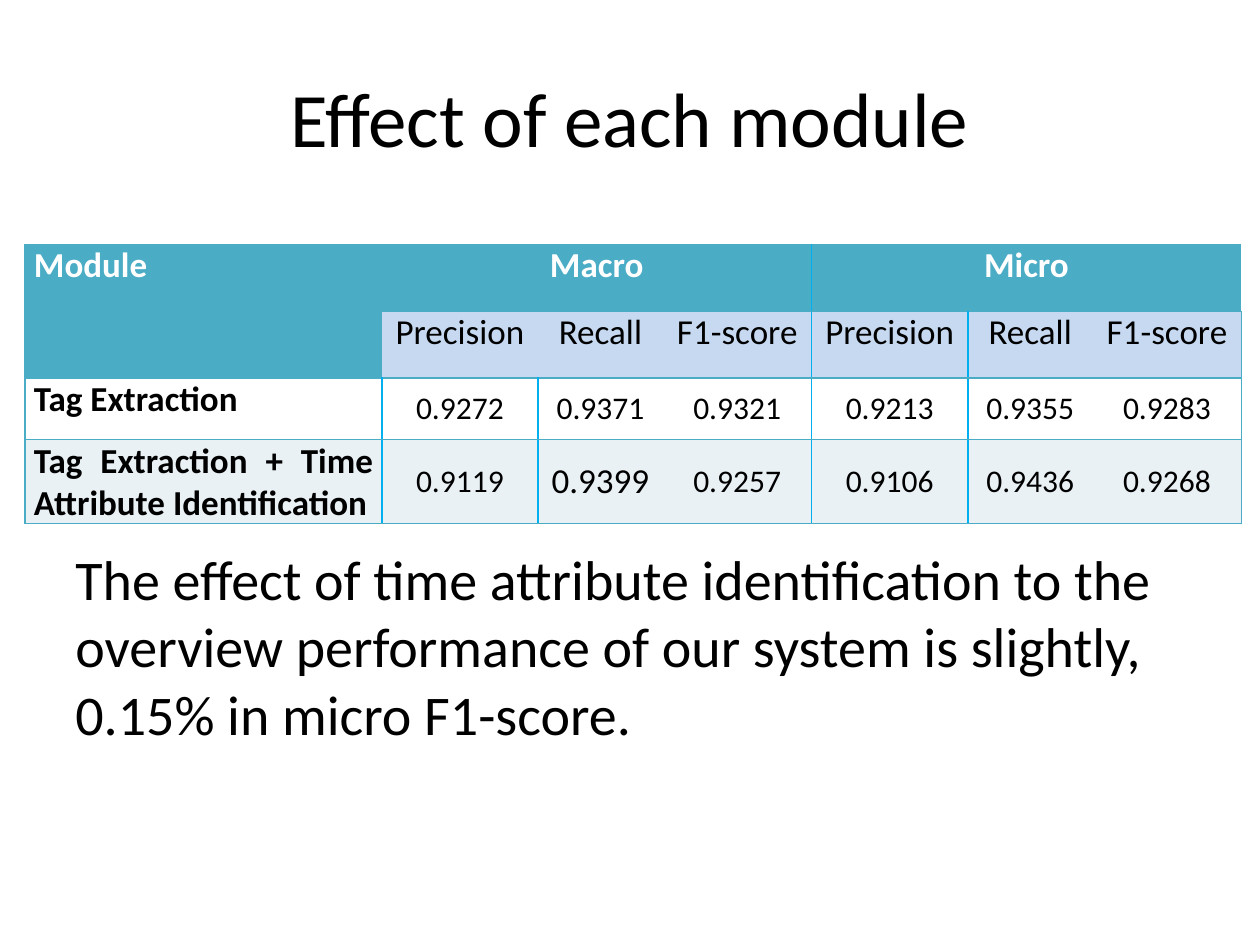
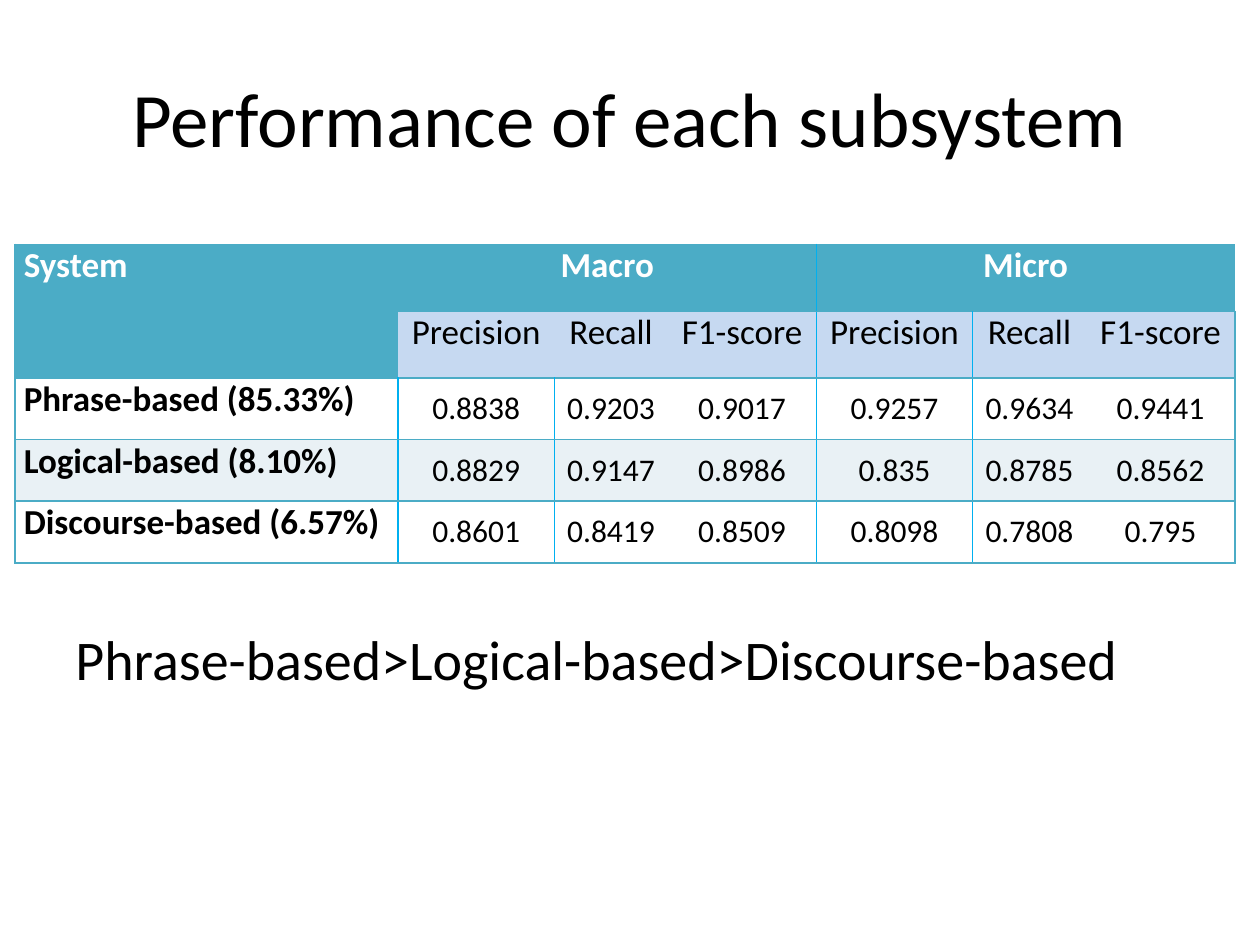
from dataclasses import dataclass

from lxml.etree import SubElement
from pptx import Presentation
from pptx.dml.color import RGBColor
from pptx.enum.text import MSO_ANCHOR, PP_ALIGN
from pptx.oxml.ns import qn
from pptx.util import Pt

FONT = "Calibri"
COLORS = {
    "teal": "4BACC6",
    "sky": "00B0F0",
    "pale": "C6D9F1",
    "band": "E9F1F5",
    "white": "FFFFFF",
    "black": "000000",
}
GROUPS = ("Macro", "Micro")
SCORES = ("Precision", "Recall", "F1-score")
COLS = 1 + len(GROUPS) * len(SCORES)
HEAD_ROWS = 2
HEAD_HIGH, DATA_HIGH = 38.2, 35.2
TABLE_TOP = 139.7
BODY_LINE = 45.4


@dataclass
class Style:
    size: float
    color: str = "black"
    bold: bool = False
    align: PP_ALIGN = PP_ALIGN.LEFT
    after: float = 0


@dataclass
class Box:
    left: float
    top: float
    width: float
    height: float


@dataclass
class Report:
    title: str
    label: str
    left: float
    name_width: float
    recall_width: float
    rows: list[tuple[str, ...]]
    note: str
    skip: int  # body lines left free above the note
    large: str = ""  # score set in larger type


TITLE = Style(44, align=PP_ALIGN.CENTER)
NOTE = Style(32)
LABEL = Style(20, "white", True, PP_ALIGN.JUSTIFY, 6)
GROUP = Style(20, "white", True, PP_ALIGN.CENTER, 6)
SCORE = Style(20, align=PP_ALIGN.CENTER, after=6)
NAME = Style(20, bold=True, align=PP_ALIGN.JUSTIFY, after=6)
VALUE = Style(18, align=PP_ALIGN.CENTER)
LARGE = Style(20, align=PP_ALIGN.CENTER)

TITLE_BOX = Box(36, 21.6, 648, 90)
BODY_BOX = Box(36, 126, 648, 356.4)

REPORTS = [
    Report(
        "Effect of each module", "Module", 14.4, 203.8, 71.3,
        [
            ("Tag Extraction", "0.9272", "0.9371", "0.9321",
             "0.9213", "0.9355", "0.9283"),
            ("Tag Extraction + Time Attribute Identification",
             "0.9119", "0.9399", "0.9257", "0.9106", "0.9436", "0.9268"),
        ],
        "The effect of time attribute identification to the overview "
        "performance of our system is slightly, 0.15% in micro F1-score.",
        4, "0.9399",
    ),
    Report(
        "Performance of each subsystem", "System", 8.6, 218.9, 64.8,
        [
            ("Phrase-based (85.33%)", "0.8838", "0.9203", "0.9017",
             "0.9257", "0.9634", "0.9441"),
            ("Logical-based (8.10%)", "0.8829", "0.9147", "0.8986",
             "0.835", "0.8785", "0.8562"),
            ("Discourse-based (6.57%)", "0.8601", "0.8419", "0.8509",
             "0.8098", "0.7808", "0.795"),
        ],
        "Phrase-based>Logical-based>Discourse-based",
        5,
    ),
]


def write(frame, text: str, style: Style) -> None:
    para = frame.paragraphs[0]
    para.alignment = style.align
    para.space_after = Pt(style.after)
    run = para.add_run()
    run.text = text
    font = run.font
    font.name = FONT
    font.size = Pt(style.size)
    font.bold = style.bold
    font.color.rgb = RGBColor.from_string(COLORS[style.color])


def add_text(slide, box: Box, text: str, style: Style,
             anchor=MSO_ANCHOR.TOP, inset: float = 3.6) -> None:
    shape = slide.shapes.add_textbox(
        Pt(box.left), Pt(box.top), Pt(box.width), Pt(box.height))
    frame = shape.text_frame
    frame.word_wrap = True
    frame.vertical_anchor = anchor
    frame.margin_top = Pt(inset)
    write(frame, text, style)


def edge(row: int, pos: int) -> str | None:
    """Colour of the vertical line at the left of column pos, if any."""
    if pos in (0, COLS):
        return "teal"
    start = {1: HEAD_ROWS, 2: HEAD_ROWS, 4: 0, 5: 1}.get(pos, row + 1)
    return "sky" if row >= start else None


def rule(cell, row: int, col: int) -> None:
    """Set the four borders of a cell."""
    props = cell._tc.get_or_add_tcPr()
    sides = {"L": edge(row, col), "R": edge(row, col + 1),
             "T": "teal", "B": "teal"}
    for side, color in sides.items():
        line = SubElement(props, qn(f"a:ln{side}"), w=str(Pt(1)))
        if color:
            fill = SubElement(line, qn("a:solidFill"))
            SubElement(fill, qn("a:srgbClr"), val=COLORS[color])
        else:
            SubElement(line, qn("a:noFill"))


def shade(row: int, col: int) -> str:
    if row < HEAD_ROWS:
        return "pale" if row and col else "teal"
    return "band" if (row - HEAD_ROWS) % 2 else "white"


def add_scores(slide, report: Report) -> None:
    count = HEAD_ROWS + len(report.rows)
    widths = [report.name_width] + [89.3, report.recall_width, 85] * len(GROUPS)
    highs = [HEAD_HIGH] * HEAD_ROWS + [DATA_HIGH] * len(report.rows)
    table = slide.shapes.add_table(
        count, COLS, Pt(report.left), Pt(TABLE_TOP),
        Pt(sum(widths)), Pt(sum(highs))).table
    table.first_row = table.horz_banding = False
    for col, width in enumerate(widths):
        table.columns[col].width = Pt(width)
    for row, high in enumerate(highs):
        table.rows[row].height = Pt(high)
        for col in range(COLS):
            cell = table.cell(row, col)
            cell.margin_left = cell.margin_right = Pt(5)
            cell.margin_top = cell.margin_bottom = 0
            rule(cell, row, col)
            cell.fill.solid()
            cell.fill.fore_color.rgb = RGBColor.from_string(
                COLORS[shade(row, col)])

    table.cell(0, 0).merge(table.cell(1, 0))
    write(table.cell(0, 0).text_frame, report.label, LABEL)
    for num, group in enumerate(GROUPS):
        first = 1 + num * len(SCORES)
        head = table.cell(0, first)
        head.merge(table.cell(0, first + len(SCORES) - 1))
        write(head.text_frame, group, GROUP)
        for col, score in enumerate(SCORES, first):
            write(table.cell(1, col).text_frame, score, SCORE)

    for row, (name, *values) in enumerate(report.rows, HEAD_ROWS):
        write(table.cell(row, 0).text_frame, name, NAME)
        for col, value in enumerate(values, 1):
            cell = table.cell(row, col)
            cell.vertical_anchor = MSO_ANCHOR.MIDDLE
            style = LARGE if value == report.large else VALUE
            write(cell.text_frame, value, style)


def main() -> None:
    deck = Presentation()
    deck.slide_width, deck.slide_height = Pt(720), Pt(540)
    for report in REPORTS:
        slide = deck.slides.add_slide(deck.slide_layouts[6])
        add_text(slide, BODY_BOX, report.note, NOTE,
                 inset=3.6 + report.skip * BODY_LINE)
        add_text(slide, TITLE_BOX, report.title, TITLE, MSO_ANCHOR.MIDDLE)
        add_scores(slide, report)
    deck.save("out.pptx")


if __name__ == "__main__":
    main()
